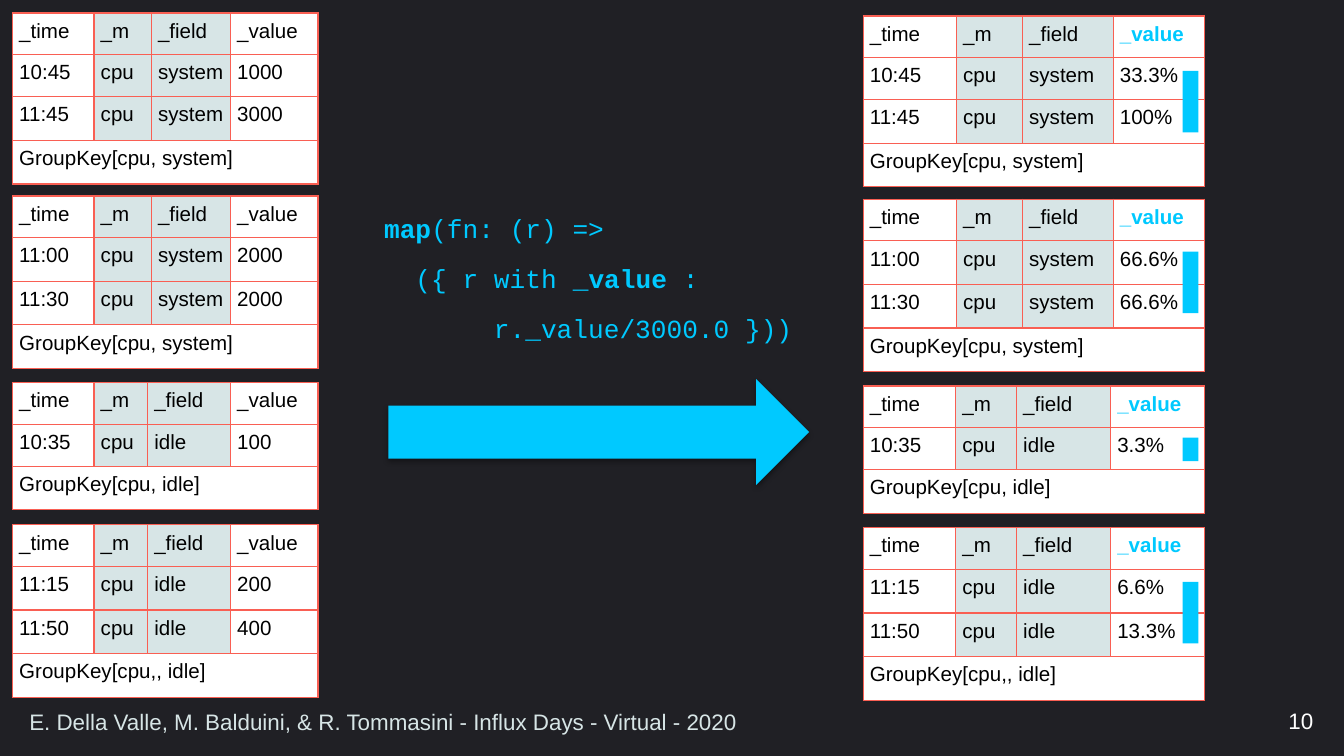
from lxml.etree import SubElement
from pptx import Presentation
from pptx.dml.color import RGBColor
from pptx.enum.shapes import MSO_SHAPE
from pptx.enum.text import MSO_ANCHOR, PP_ALIGN
from pptx.oxml import parse_xml
from pptx.oxml.ns import qn
from pptx.util import Pt

CYAN, MIST, WHITE, BLACK, RED, NIGHT = "00C9FF", "D7E5E6", "FFFFFF", "000000", "F95F53", "202025"
HEADER = ("_time", "_m", "_field", "_value")

# top left, top right, height of first data row, column kind, group key,
# rows (time, field, value before, value after), bar top, bar height
GROUPS = [
    (7, 8.6, 22.5, "system", "GroupKey[cpu, system]",
     [("10:45", "system", "1000", "33.3%"), ("11:45", "system", "3000", "100%")], 38, 33),
    (105, 106.7, 23.4, "system", "GroupKey[cpu, system]",
     [("11:00", "system", "2000", "66.6%"), ("11:30", "system", "2000", "66.6%")], 134.8, 33),
    (205, 206.8, 22.5, "idle", "GroupKey[cpu, idle]",
     [("10:35", "idle", "100", "3.3%")], 234.5, 12.5),
    (281.1, 282.7, 23.4, "idle", "GroupKey[cpu,, idle]",
     [("11:15", "idle", "200", "6.6%"), ("11:50", "idle", "400", "13.3%")], 311.7, 33),
]
LEFT_COLUMNS = {"system": (43.7, 30.7, 42.4, 46.9), "idle": (43.7, 28.7, 44.4, 46.9)}
RIGHT_COLUMNS = {"system": (50, 35.4, 48.6, 48.8), "idle": (49.6, 32.6, 50.4, 50.4)}
LEFT_X, RIGHT_X, BAR_X, BAR_WIDTH = 6.7, 462.4, 633.6, 8.5
HEADER_HEIGHT, ROW_HEIGHT = 22.3, 23.4

# each line of code as (text, bold) spans
CODE = [
    [("map", True), ("(fn: (r) =>", False)],
    [("  ({ r with ", False), ("_value ", True), (":", False)],
    [("       r._value/3000.0 }))", False)],
]
FOOTER = "E. Della Valle, M. Balduini, & R. Tommasini - Influx Days - Virtual - 2020"


def color(value):
    return RGBColor.from_string(value)


def style(font, size, value, name="Arial", bold=False):
    font.size, font.name, font.bold = Pt(size), name, bold
    font.color.rgb = color(value)


def add_borders(cell):
    properties = cell._tc.get_or_add_tcPr()
    for position, side in enumerate(("lnL", "lnR", "lnT", "lnB")):
        line = SubElement(properties, qn("a:" + side), w=str(Pt(0.75)))
        SubElement(SubElement(line, qn("a:solidFill")), qn("a:srgbClr"), val=RED)
        properties.remove(line)
        properties.insert(position, line)


def add_group_table(page, left, top, columns, first_height, rows, key, value_color):
    """Draw header, data rows and a merged group key row."""
    lines = [HEADER, *rows, (key, "", "", "")]
    heights = [HEADER_HEIGHT, first_height] + [ROW_HEIGHT] * (len(lines) - 2)
    frame = page.shapes.add_table(len(lines), len(columns), Pt(left), Pt(top),
                                  Pt(sum(columns)), Pt(sum(heights)))
    table = frame.table
    for column, width in zip(table.columns, columns):
        column.width = Pt(width)
    for row, height in zip(table.rows, heights):
        row.height = Pt(height)
    last = len(lines) - 1
    table.cell(last, 0).merge(table.cell(last, 3))
    for r, line in enumerate(lines):
        for c, text in enumerate(line):
            cell = table.cell(r, c)
            cell.margin_left = cell.margin_right = Pt(3.6)
            cell.margin_top = cell.margin_bottom = Pt(3.6)
            cell.fill.solid()
            cell.fill.fore_color.rgb = color(MIST if c in (1, 2) and r < last else WHITE)
            add_borders(cell)
            if text:
                cell.text_frame.text = text
                changed = r == 0 and c == 3 and value_color != BLACK
                style(cell.text_frame.paragraphs[0].runs[0].font, 11,
                      value_color if changed else BLACK, bold=changed)


def add_cyan_shape(page, kind, left, top, width, height):
    shape = page.shapes.add_shape(kind, Pt(left), Pt(top), Pt(width), Pt(height))
    shape.shadow.inherit = False
    shape.fill.solid()
    shape.fill.fore_color.rgb = color(CYAN)
    shape.line.fill.background()
    return shape


def add_arrow(page):
    arrow = add_cyan_shape(page, MSO_SHAPE.UP_ARROW, 292.3, 118.8, 56.9, 225.4)
    arrow.rotation = 90
    effects = arrow._element.spPr.find(qn("a:effectLst"))
    effects.append(parse_xml(
        '<a:outerShdw xmlns:a="http://schemas.openxmlformats.org/drawingml/2006/main" '
        f'blurRad="{Pt(3.1)}" dist="{Pt(1.6)}" dir="5400000" rotWithShape="0">'
        f'<a:srgbClr val="{BLACK}"><a:alpha val="38000"/></a:srgbClr></a:outerShdw>'))


def add_code(page):
    box = page.shapes.add_textbox(Pt(198.7), Pt(100.1), Pt(275.8), Pt(85.7))
    box.text_frame.word_wrap = True
    para = box.text_frame.paragraphs[0]
    para.line_spacing = 1.6
    for number, line in enumerate(CODE):
        if number:
            para.add_line_break()
        for text, bold in line:
            span = para.add_run()
            span.text = text
            style(span.font, 14, CYAN, "Courier New", bold)


def add_footer(page, text, left, top, width, height, value, align):
    box = page.shapes.add_textbox(Pt(left), Pt(top), Pt(width), Pt(height))
    box.text_frame.word_wrap = True
    box.text_frame.vertical_anchor = MSO_ANCHOR.MIDDLE
    box.text_frame.text = text
    para = box.text_frame.paragraphs[0]
    para.alignment = align
    style(para.runs[0].font, 12, value)


def main():
    deck = Presentation()
    deck.slide_width, deck.slide_height = Pt(720), Pt(405)
    page = deck.slides.add_slide(deck.slide_layouts[6])
    page.background.fill.solid()
    page.background.fill.fore_color.rgb = color(NIGHT)

    add_arrow(page)
    add_code(page)
    add_footer(page, FOOTER, 8.6, 376, 536.4, 21, MIST, PP_ALIGN.LEFT)
    add_footer(page, "10", 548.6, 375.3, 162, 21.6, WHITE, PP_ALIGN.RIGHT)
    for left_top, right_top, first_height, kind, key, rows, bar_top, bar_height in GROUPS:
        before = [(time, "cpu", field, old) for time, field, old, new in rows]
        after = [(time, "cpu", field, new) for time, field, old, new in rows]
        add_group_table(page, LEFT_X, left_top, LEFT_COLUMNS[kind],
                        first_height, before, key, BLACK)
        add_group_table(page, RIGHT_X, right_top, RIGHT_COLUMNS[kind],
                        first_height, after, key, CYAN)
        add_cyan_shape(page, MSO_SHAPE.RECTANGLE, BAR_X, bar_top, BAR_WIDTH, bar_height)
    deck.save("out.pptx")


if __name__ == "__main__":
    main()
